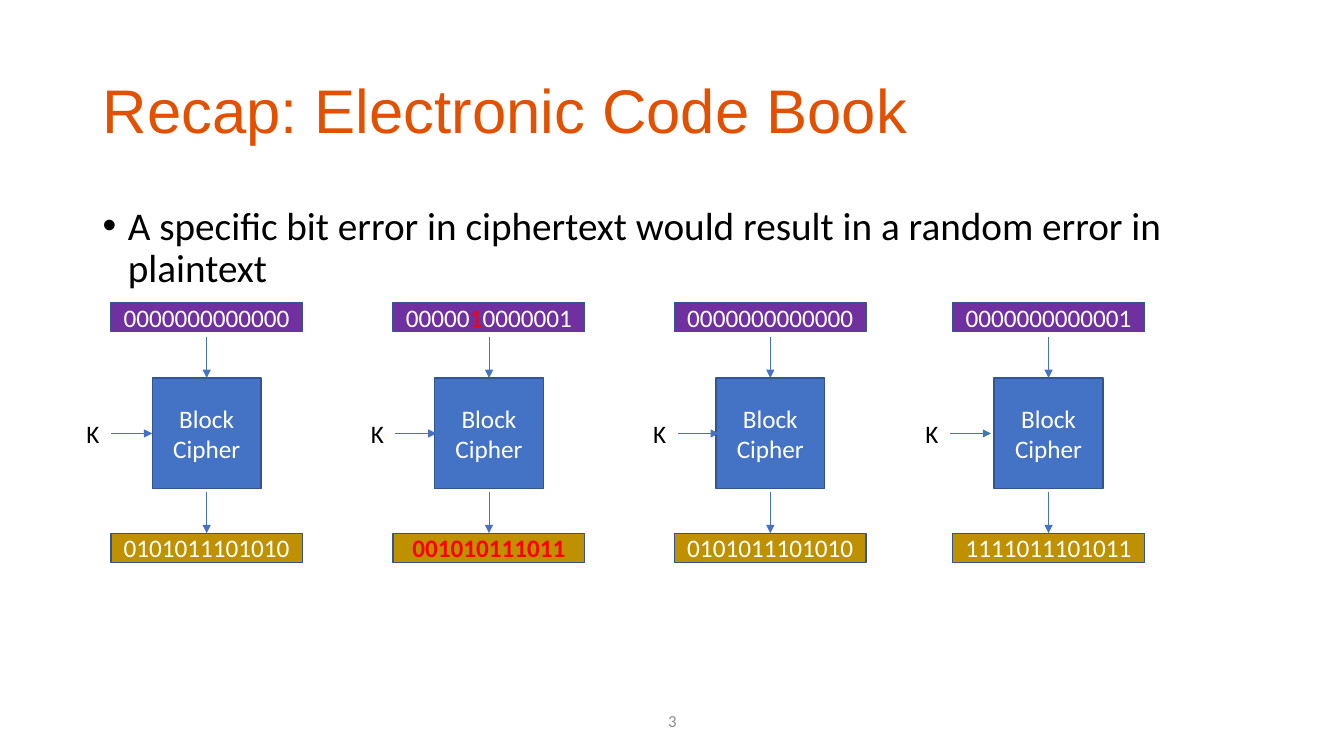
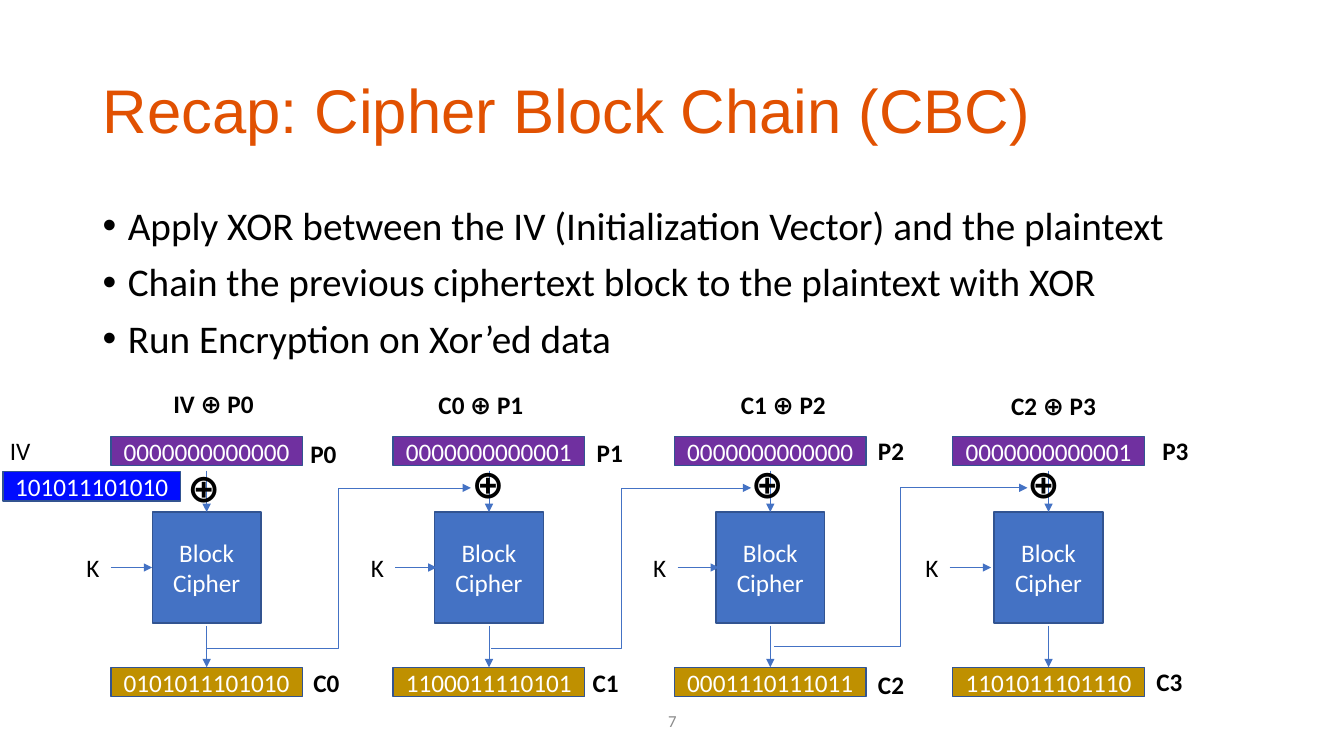
import pptx
import pptx.dml.color
import pptx.enum.shapes
import pptx.enum.text
import pptx.oxml
import pptx.oxml.ns
import pptx.util

Inches, Pt = pptx.util.Inches, pptx.util.Pt
RGBColor = pptx.dml.color.RGBColor
ALIGN = pptx.enum.text.PP_ALIGN
ANCHOR = pptx.enum.text.MSO_ANCHOR
CONNECTOR = pptx.enum.shapes.MSO_CONNECTOR
RECTANGLE = pptx.enum.shapes.MSO_SHAPE.RECTANGLE

# Colours
ORANGE = RGBColor(0xE1, 0x51, 0x01)
BLACK = RGBColor(0x00, 0x00, 0x00)
WHITE = RGBColor(0xFF, 0xFF, 0xFF)
GRAY = RGBColor(0x8C, 0x8C, 0x8C)
RED = RGBColor(0xFF, 0x00, 0x00)
PURPLE = RGBColor(0x70, 0x30, 0xA0)
GOLD = RGBColor(0xBF, 0x90, 0x00)
BLUE = RGBColor(0x44, 0x72, 0xC4)
IV_BLUE = RGBColor(0x00, 0x0C, 0xFF)
OUTLINE = RGBColor(0x32, 0x54, 0x91)

# Text styles
TITLE = {"name": "Arial", "size": Pt(44), "color": ORANGE}
BODY = {"name": "Calibri", "size": Pt(28), "color": BLACK}
NUMBER = {"name": "Calibri", "size": Pt(12), "color": GRAY}
LABEL = {"name": "Calibri", "size": Pt(18), "color": BLACK}
BITS = {**LABEL, "color": WHITE}
BOLD_LABEL = {**LABEL, "bold": True}
XOR = {**BODY, "bold": True}
FLIPPED = {**BITS, "color": RED}
GARBLED = {**FLIPPED, "bold": True}

# Content: a block of bits is a list of (text, style) runs
ECB = {
    "title": "Recap: Electronic Code Book",
    "bullets": ["A specific bit error in ciphertext would result in a random error in plaintext"],
    "number": "3",
    "top": 3.0,
    "inputs": [
        [("0000000000000", BITS)],
        [("00000", BITS), ("1", FLIPPED), ("0000001", BITS)],
        [("0000000000000", BITS)],
        [("0000000000001", BITS)],
    ],
    "outputs": [
        [("0101011101010", BITS)],
        [("001010111011", GARBLED)],
        [("0101011101010", BITS)],
        [("1111011101011", BITS)],
    ],
}
CBC = {
    "title": "Recap: Cipher Block Chain (CBC)",
    "bullets": [
        "Apply XOR between the IV (Initialization Vector) and the plaintext",
        "Chain the previous ciphertext block to the plaintext with XOR",
        "Run Encryption on Xor’ed data",
    ],
    "number": "7",
    "top": 4.33,
    "inputs": [[(bits, BITS)] for bits in (
        "0000000000000", "0000000000001", "0000000000000", "0000000000001")],
    "outputs": [[(bits, BITS)] for bits in (
        "0101011101010", "1100011110101", "0001110111011", "1101011101110")],
}
IV_BITS = "101011101010"

# Diagram columns: left edge of the bits and of the key label
COLUMNS = [(1.1, 0.76), (3.9, 3.58), (6.69, 6.38), (9.45, 9.08)]
BITS_W, BITS_H = 1.9, 0.29
CIPHER_W, CIPHER_H = 1.08, 1.1
ARROW = 0.41
LABEL_H = 0.4

# Chaining marks: (text, left, top, width)
CHAIN_LABELS = [
    ("IV ⊕ P0", 1.62, 3.8, 1.05), ("C0 ⊕ P1", 4.25, 3.81, 1.09),
    ("C1 ⊕ P2", 7.25, 3.81, 1.09), ("C2 ⊕ P3", 9.93, 3.82, 1.09),
    ("P0", 2.98, 4.3, 0.46), ("P1", 5.82, 4.29, 0.46),
    ("P2", 8.61, 4.27, 0.46), ("P3", 11.43, 4.27, 0.46),
    ("C0", 3.01, 6.57, 0.46), ("C1", 5.78, 6.57, 0.46),
    ("C2", 8.61, 6.59, 0.46), ("C3", 11.37, 6.56, 0.46),
]
XOR_SIGNS = [(1.76, 4.55), (4.58, 4.51), (7.35, 4.51), (10.09, 4.51)]
FEEDBACK_END_Y = 4.84
FEEDBACKS = [(2.05, 6.43, 4.67), (4.87, 6.43, 7.45), (7.68, 6.41, 10.19)]


def write(frame, paragraphs, align=ALIGN.LEFT, anchor=ANCHOR.TOP, wrap=True):
    """Fill a text frame with paragraphs, each a list of (text, style) runs."""
    frame.word_wrap = wrap
    frame.vertical_anchor = anchor
    for index, runs in enumerate(paragraphs):
        paragraph = frame.paragraphs[0] if index == 0 else frame.add_paragraph()
        paragraph.alignment = align
        for text, style in runs:
            run = paragraph.add_run()
            run.text = text
            for key, value in style.items():
                if key == "color":
                    run.font.color.rgb = value
                else:
                    setattr(run.font, key, value)
    return frame


def add_text(slide, box, paragraphs, **layout):
    textbox = slide.shapes.add_textbox(*map(Inches, box))
    return write(textbox.text_frame, paragraphs, **layout)


def add_box(slide, box, fill, paragraphs):
    rect = slide.shapes.add_shape(RECTANGLE, *map(Inches, box))
    rect.shadow.inherit = False
    rect.fill.solid()
    rect.fill.fore_color.rgb = fill
    rect.line.color.rgb = OUTLINE
    rect.line.width = Pt(1)
    write(rect.text_frame, paragraphs, align=ALIGN.CENTER, anchor=ANCHOR.MIDDLE)


def add_arrow(slide, start, end, kind=CONNECTOR.STRAIGHT):
    arrow = slide.shapes.add_connector(kind, *map(Inches, (*start, *end)))
    arrow.line.color.rgb = BLUE
    arrow.line.width = Pt(0.5)
    head = pptx.oxml.parse_xml(
        '<a:tailEnd %s type="triangle"/>' % pptx.oxml.ns.nsdecls("a"))
    arrow.line._get_or_add_ln().append(head)
    arrow._element.spPr.append(pptx.oxml.parse_xml(
        "<a:effectLst %s/>" % pptx.oxml.ns.nsdecls("a")))


def add_base(deck, content):
    """Add a slide with its title, bullets and number."""
    slide = deck.slides.add_slide(deck.slide_layouts[6])
    title = add_text(slide, (0.92, 0.4, 11.5, 1.45), [[(content["title"], TITLE)]],
                     anchor=ANCHOR.MIDDLE)
    title.paragraphs[0].line_spacing = 0.9
    body = add_text(slide, (0.92, 2, 11.5, 4.76),
                    [[(bullet, BODY)] for bullet in content["bullets"]])
    for paragraph in body.paragraphs:
        paragraph.line_spacing = 0.9
        paragraph.space_before = Pt(10)
        props = paragraph._p.get_or_add_pPr()
        props.set("marL", str(Inches(0.25)))
        props.set("indent", str(Inches(-0.25)))
        for tag in ('buFont %s typeface="Arial"', 'buChar %s char="•"'):
            props.append(pptx.oxml.parse_xml(
                "<a:" + tag % pptx.oxml.ns.nsdecls("a") + "/>"))
    add_text(slide, (5.17, 6.95, 3, 0.4), [[(content["number"], NUMBER)]],
             align=ALIGN.CENTER, anchor=ANCHOR.MIDDLE)
    return slide


def add_ciphers(slide, content):
    """Draw each column: input bits, block cipher with key, output bits."""
    top = content["top"]
    cipher_top, output_top = top + 0.75, top + 2.29
    key_y = top + 1.3
    for (left, key_left), bits_in, bits_out in zip(
            COLUMNS, content["inputs"], content["outputs"]):
        center = left + BITS_W / 2
        add_box(slide, (left, top, BITS_W, BITS_H), PURPLE, [bits_in])
        add_box(slide, (center - CIPHER_W / 2, cipher_top, CIPHER_W, CIPHER_H), BLUE,
                [[("Block", BITS)], [("Cipher", BITS)]])
        add_box(slide, (left, output_top, BITS_W, BITS_H), GOLD, [bits_out])
        for end in (cipher_top, output_top):
            add_arrow(slide, (center, end - ARROW), (center, end))
        add_text(slide, (key_left, key_y - LABEL_H / 2, 0.33, LABEL_H),
                 [[("K", LABEL)]], wrap=False)
        key_start = key_left + 0.34
        add_arrow(slide, (key_start, key_y), (key_start + ARROW, key_y))


def add_chaining(slide):
    """Draw the IV, the XOR signs, the feedback arrows and the block names."""
    add_box(slide, (0.03, 4.68, 1.76, BITS_H), IV_BLUE, [[(IV_BITS, BITS)]])
    add_text(slide, (0, 4.27, 0.41, LABEL_H), [[("IV", LABEL)]], wrap=False)
    for x, y, end_x in FEEDBACKS:
        add_arrow(slide, (x, y), (end_x, FEEDBACK_END_Y), CONNECTOR.ELBOW)
    for left, top in XOR_SIGNS:
        add_text(slide, (left, top, 0.54, 0.57), [[("⊕", XOR)]])
    for text, left, top, width in CHAIN_LABELS:
        add_text(slide, (left, top, width, LABEL_H), [[(text, BOLD_LABEL)]], wrap=False)


def main():
    deck = pptx.Presentation()
    deck.slide_width, deck.slide_height = Inches(13.33), Inches(7.5)
    add_ciphers(add_base(deck, ECB), ECB)
    cbc_slide = add_base(deck, CBC)
    add_ciphers(cbc_slide, CBC)
    add_chaining(cbc_slide)
    deck.save("out.pptx")


if __name__ == "__main__":
    main()
